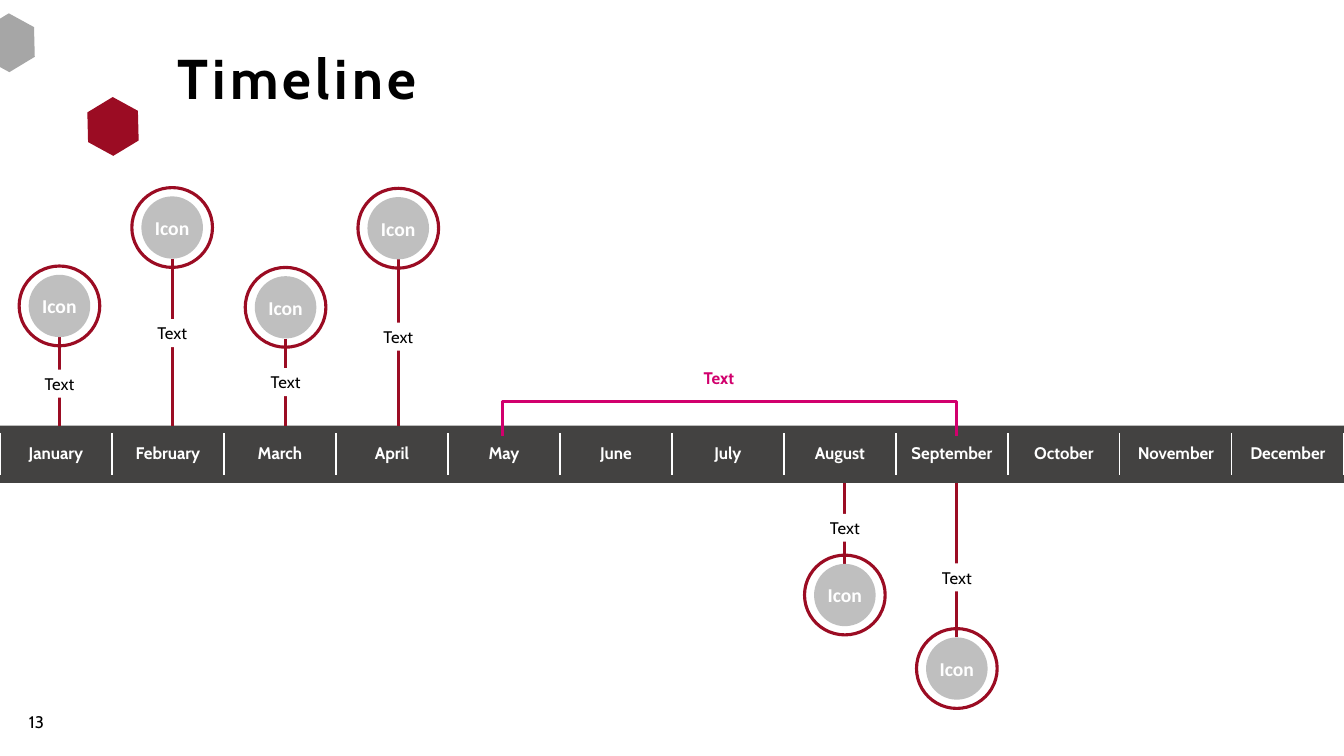
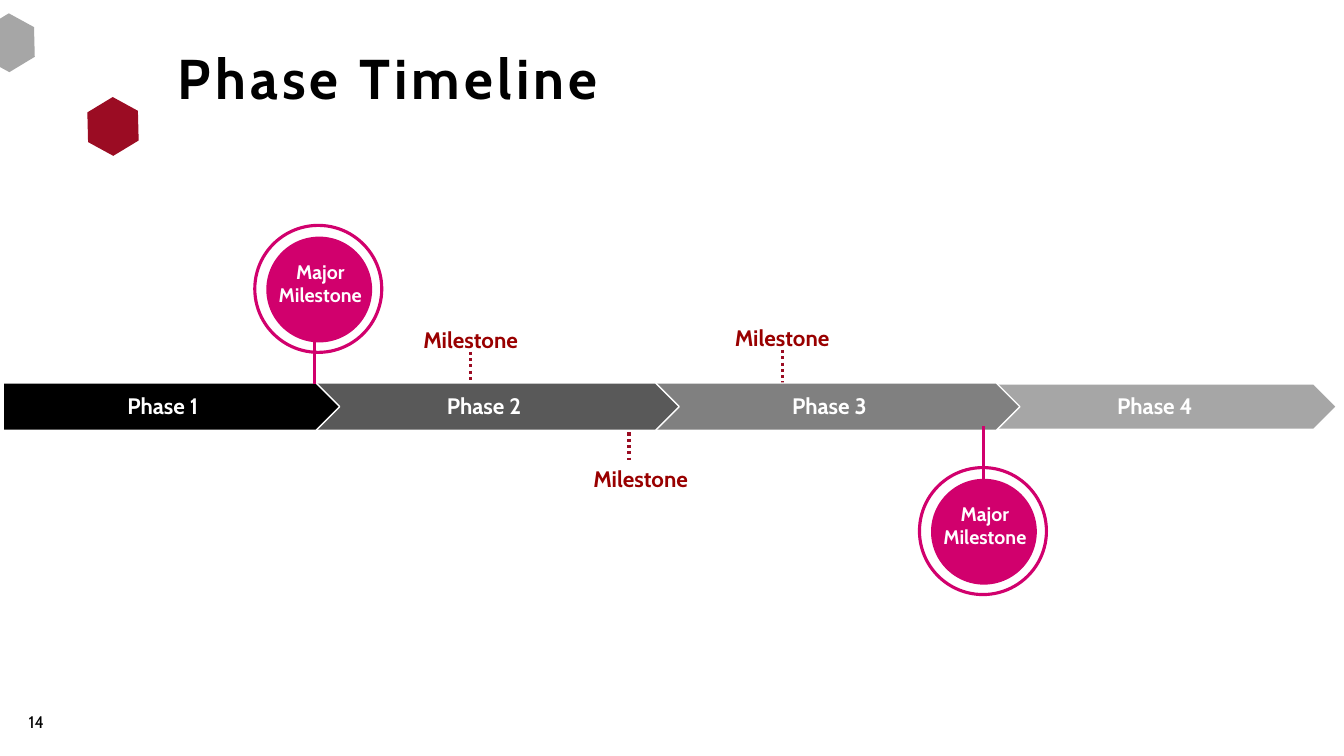
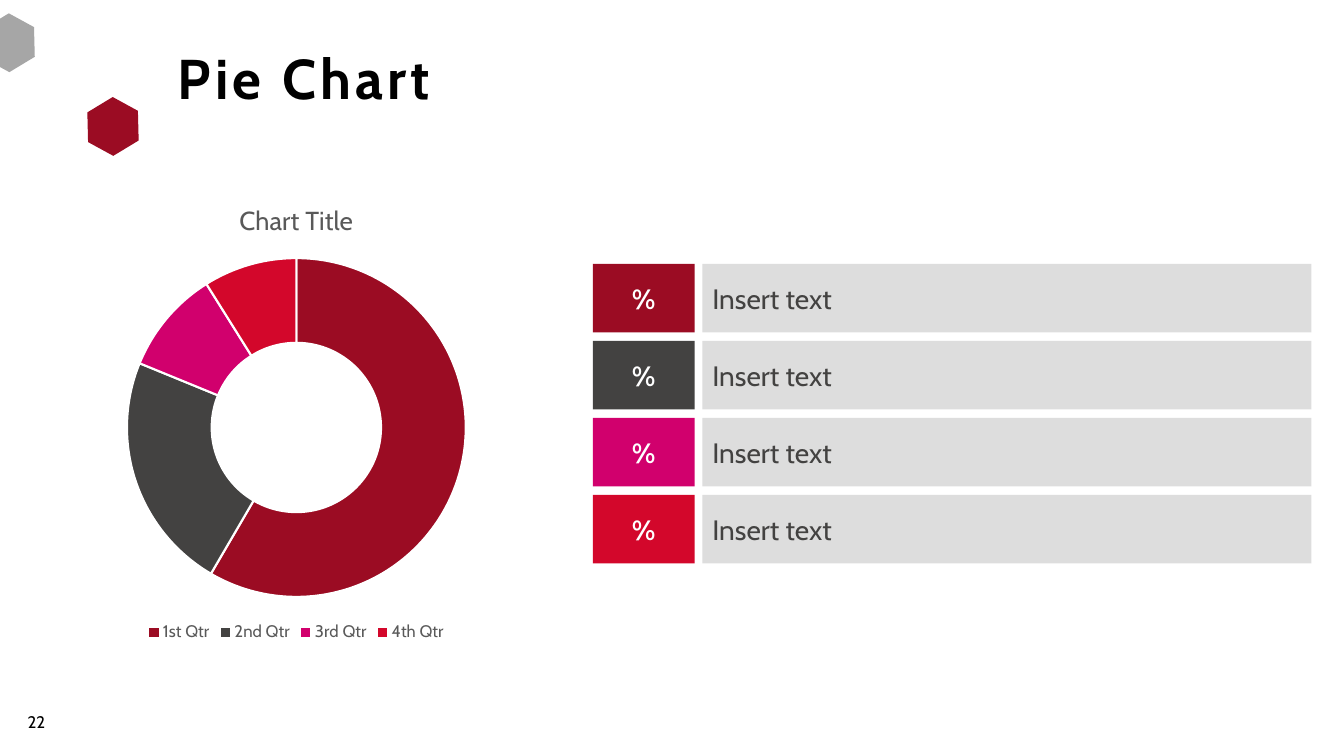
from lxml import etree
from pptx import Presentation
from pptx.chart.data import CategoryChartData
from pptx.dml.color import RGBColor
from pptx.enum.chart import XL_CHART_TYPE, XL_LEGEND_POSITION
from pptx.enum.dml import MSO_LINE
from pptx.enum.shapes import MSO_CONNECTOR, MSO_SHAPE
from pptx.enum.text import MSO_ANCHOR, PP_ALIGN
from pptx.oxml.ns import qn
from pptx.util import Pt

RECT = MSO_SHAPE.RECTANGLE
OVAL = MSO_SHAPE.OVAL
HEX = MSO_SHAPE.HEXAGON
PLATE = MSO_SHAPE.PENTAGON
BRACKET = MSO_SHAPE.RIGHT_BRACKET
STRAIGHT = MSO_CONNECTOR.STRAIGHT
DOTS = MSO_LINE.ROUND_DOT
LEFT, CENTER = PP_ALIGN.LEFT, PP_ALIGN.CENTER
MIDDLE = MSO_ANCHOR.MIDDLE
DONUT = XL_CHART_TYPE.DOUGHNUT
BOTTOM = XL_LEGEND_POSITION.BOTTOM

FONT = "Cabin"
PLAIN_TABLE = "{2D5ABB26-0587-4C30-8999-92F81FD0307C}"
HUES = {
    "black": "000000", "white": "FFFFFF", "wine": "9B0C23", "coal": "434241",
    "pink": "D1006D", "red": "D3072B", "brick": "990000", "slate": "595959",
    "gray": "808080", "ash": "A6A6A6", "silver": "BFBFBF", "mist": "DDDDDD",
}
RGB = {name: RGBColor.from_string(code) for name, code in HUES.items()}


def box(page, kind, x, y, w, h, fill=None, line=None, thick=2.25, text="",
        size=12, hue="black", bold=False, font=FONT, align=CENTER, pad=0):
    """Add a shape, or a text box when kind is None, and return it."""
    area = Pt(x), Pt(y), Pt(w), Pt(h)
    if kind is None:
        item = page.shapes.add_textbox(*area)
    else:
        item = page.shapes.add_shape(kind, *area)
        item.shadow.inherit = False
        if fill:
            item.fill.solid()
            item.fill.fore_color.rgb = RGB[fill]
        else:
            item.fill.background()
        if line:
            item.line.color.rgb = RGB[line]
            item.line.width = Pt(thick)
        else:
            item.line.fill.background()
    if text:
        frame = item.text_frame
        frame.word_wrap = True
        frame.vertical_anchor = MIDDLE
        frame.margin_left = Pt(pad)
        frame.margin_right = frame.margin_top = frame.margin_bottom = 0
        para = frame.paragraphs[0]
        para.text = text
        para.alignment = align
        para.font.name = font
        para.font.size = Pt(size)
        para.font.bold = bold
        para.font.color.rgb = RGB[hue]
    return item


def stem(page, x, top, end, hue, dash=None):
    """Add a vertical line."""
    item = page.shapes.add_connector(STRAIGHT, Pt(x), Pt(top), Pt(x), Pt(end))
    item.line.color.rgb = RGB[hue]
    item.line.width = Pt(2.25)
    if dash:
        item.line.dash_style = dash
    etree.SubElement(item._element.spPr, qn("a:effectLst"))


deck = Presentation()
deck.slide_width, deck.slide_height = Pt(960), Pt(540)

# Shared frame: hexagons, page number and title
pages = []
for title, number in [("Timeline", "13"), ("Phase Timeline", "14"), ("Pie Chart", "22")]:
    page = deck.slides.add_slide(deck.slide_layouts[6])
    pages.append(page)
    for x, y, fill in [(-14.4, 12.2, "ash"), (59.8, 72, "wine")]:
        hexagon = box(page, HEX, x, y, 41.8, 36.7, fill)
        hexagon.adjustments[0] = 0.29
        hexagon.rotation = 28.7
    box(page, None, 10, 507.5, 32, 16.5, text=number)
    head = box(page, None, 120, 22.3, 810, 72, text=title, size=40, bold=True,
               align=LEFT, pad=7.2).text_frame.paragraphs[0]
    head.line_spacing = 0.9
    head.space_before = Pt(10)
    head.font._rPr.set("spc", "300")
months, phases, pie = pages

# Month timeline
box(months, RECT, 0, 304, 960, 41, "coal")
names = ["January", "February", "March", "April", "May", "June", "July",
         "August", "September", "October", "November", "December"]
table = months.shapes.add_table(1, len(names), 0, Pt(309.5), Pt(960), Pt(29.5)).table
table._tbl.tblPr.find(qn("a:tableStyleId")).text = PLAIN_TABLE
table.first_row = table.horz_banding = False
for cell, name in zip(table.rows[0].cells, names):
    cell.vertical_anchor = MIDDLE
    cell.fill.background()
    para = cell.text_frame.paragraphs[0]
    para.text = name
    para.alignment = CENTER
    para.font.name = FONT
    para.font.size = Pt(12)
    para.font.bold = True
    para.font.color.rgb = RGB["white"]
    for spot, side in enumerate(["a:lnL", "a:lnR"]):
        edge = etree.Element(qn(side), w=str(Pt(1)))
        paint = etree.SubElement(edge, qn("a:solidFill"))
        etree.SubElement(paint, qn("a:srgbClr"), val=HUES["white"])
        cell._tc.tcPr.insert(spot, edge)

span = box(months, BRACKET, 508.5, 137, 25, 324, line="pink")
span.adjustments[0] = 0
span.rotation = 270
box(months, RECT, 477.5, 260, 72, 20, "white", text="Text", hue="pink", bold=True)

# Pins: centre, ring top, label top
for mid, top, label in [(42.5, 190, 264), (123, 134, 228), (204, 191, 263),
                        (284.5, 134.5, 230.5), (603.5, 396.5, 367), (683.5, 449, 402.5)]:
    disc = top + 6.3
    box(months, OVAL, mid - 28.8, top, 57.6, 57, line="wine")
    if top < 304:
        stem(months, mid, disc + 44.5, 304, "wine")
    else:
        stem(months, mid, 345, disc, "wine")
    box(months, OVAL, mid - 22, disc, 44, 44.5, "silver", text="Icon", size=14,
        hue="white", bold=True, font="Calibri")
    box(months, RECT, mid - 36, label, 72, 20, "white", text="Text")

# Phase timeline: line x, line top, label centre, label top
for x, top, mid, label in [(558.7, 250, 558.7, 227.5), (336.2, 251.3, 336.2, 229),
                           (449.3, 291, 457.6, 328.3)]:
    stem(phases, x, top, top + 37.4, "wine", DOTS)
    box(phases, None, mid - 48, label, 96, 26.6, text="Milestone", size=16,
        hue="brick", bold=True)

# Plates overlap, the earlier phase on top: left, top, width, height
plates = [
    ("Phase 4", "ash", 707, 274.3, 247.7, 32.4, 825),
    ("Phase 3", "gray", 466.5, 273.6, 262, 33.8, 592.5),
    ("Phase 2", "slate", 169.2, 273.6, 316, 33.8, 345.8),
    ("Phase 1", "black", 2.2, 273.6, 240.5, 33.8, 116.3),
]
for name, fill, x, y, w, h, mid in plates:
    box(phases, PLATE, x, y, w, h, fill, "white", 1)
for name, fill, x, y, w, h, mid in plates:
    box(phases, None, mid - 60, 276.5, 120, 26.6, text=name, size=16,
        hue="white", bold=True)

# Major milestones: ring left, ring top, line x, line top
for x, y, mid, top in [(182, 161, 224.6, 237), (656.8, 334, 702.7, 304.6)]:
    box(phases, OVAL, x, y, 90.7, 90.7, line="pink")
    stem(phases, mid, top, top + 37.4, "pink")
    box(phases, OVAL, x + 8.2, y + 8, 75.6, 75.6, "pink")
    box(phases, None, x, y + 20.7, 93.6, 41, text="Major Milestone", size=14,
        hue="white", bold=True)

# Doughnut chart with its key
tints = ["wine", "coal", "pink", "red"]
data = CategoryChartData()
data.categories = ["1st Qtr", "2nd Qtr", "3rd Qtr", "4th Qtr"]
data.add_series("Series 1", [59, 23, 10, 9])
chart = pie.shapes.add_chart(DONUT, 0, Pt(130.3), Pt(423.4), Pt(331.2), data).chart
chart.font.name = FONT
chart.font.size = Pt(10)
chart.has_title = True
label = chart.chart_title.text_frame.paragraphs[0]
label.text = "Chart Title"
label.font.name = FONT
label.font.size = Pt(18.6)
label.font.bold = False
label.font.color.rgb = RGB["slate"]
chart.has_legend = True
chart.legend.position = BOTTOM
chart.legend.include_in_layout = False
chart.legend.font.name = FONT
chart.legend.font.size = Pt(12)
chart.legend.font.color.rgb = RGB["slate"]
ring = chart.plots[0]
ring._element.find(qn("c:holeSize")).set("val", "45")

for i, tint in enumerate(tints):
    part = ring.series[0].points[i].format
    part.fill.solid()
    part.fill.fore_color.rgb = RGB[tint]
    part.line.color.rgb = RGB["white"]
    part.line.width = Pt(1.5)
    y = 188.5 + 55 * i
    box(pie, RECT, 501.8, y, 435, 49, "mist", text="Insert text", size=20,
        hue="coal", align=LEFT, pad=7.2)
    box(pie, RECT, 423.4, y, 72.7, 49, tint, text="%", size=20, hue="white", bold=True)

deck.save("out.pptx")
